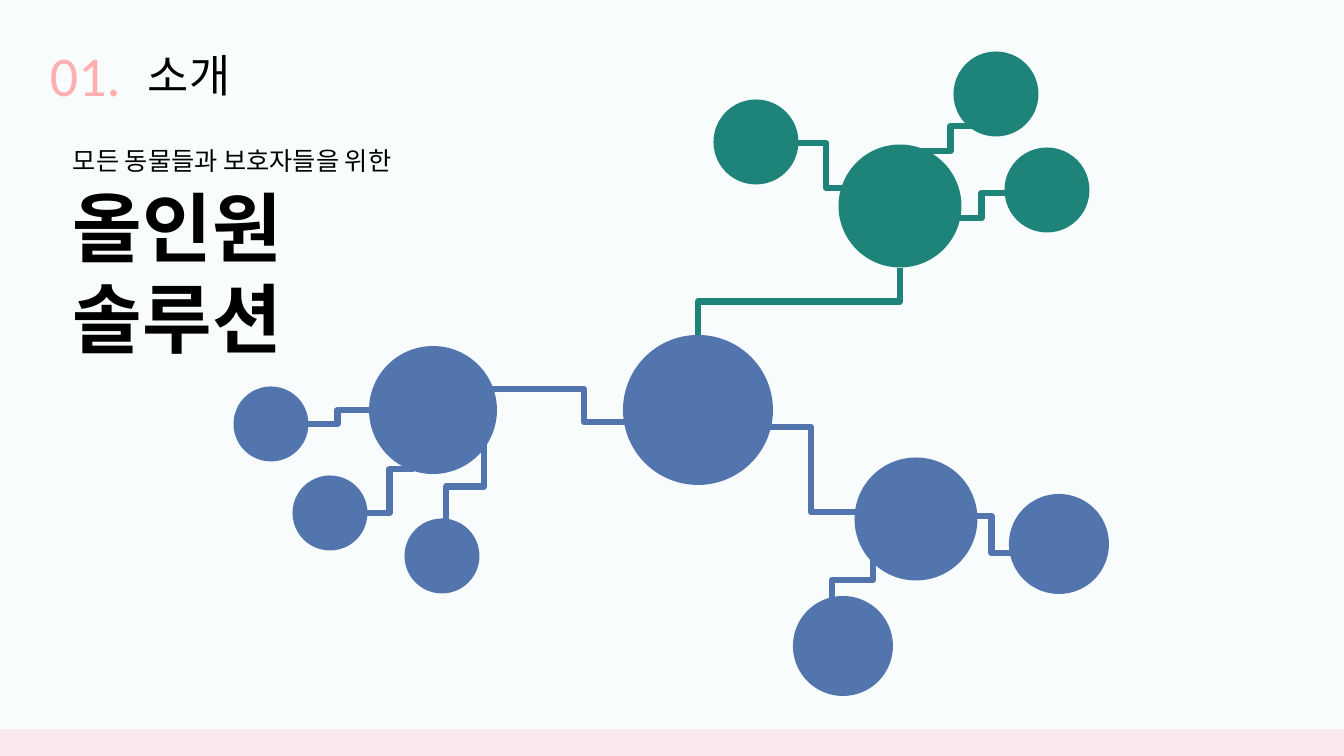
from dataclasses import dataclass

import pptx
import pptx.dml.color
import pptx.enum.shapes
import pptx.enum.text
import pptx.oxml
import pptx.oxml.ns
import pptx.util

EMU_PER_PX = 914400 / 100.8
WIDTH, HEIGHT = 1344, 756


@dataclass(frozen=True)
class Theme:
    background: str = "F8FCFC"
    footer: str = "F8E7EF"
    number: str = "FFAFAF"
    text: str = "000000"
    blue: str = "5275AD"
    green: str = "1E847A"
    label_font: str = "Calibri"
    message_font: str = "Noto Sans CJK KR"
    number_size: int = 40
    title_size: int = 32
    lead_size: int = 18
    headline_size: int = 54
    link_width: float = 4.5


THEME = Theme()

# centre x, centre y, diameter
BLUE_CIRCLES = [
    (698, 410, 150),
    (433, 410, 128), (271, 424, 75), (330, 513, 75), (442, 556, 75),
    (916, 519, 123), (843, 646, 100), (1059, 544, 100),
]
GREEN_CIRCLES = [(900, 206, 123), (756, 142, 85), (996, 94, 85), (1047, 190, 85)]

# start x, start y, end x, end y
BLUE_LINKS = [
    (728, 427, 894, 512), (962, 516, 1021, 553),
    (365, 513, 414, 469), (306, 424, 369, 410),
]
GREEN_LINKS = [(1012, 193, 951, 218), (854, 188, 798, 143), (982, 126, 919, 151)]
BLUE_DROPS = [(873, 553, 832, 607), (484, 444, 446, 529)]
GREEN_DROPS = [(900, 268, 698, 335)]


def px(length):
    return pptx.util.Emu(round(length * EMU_PER_PX))


def rgb(color):
    return pptx.dml.color.RGBColor.from_string(color)


def add_filled_shape(slide, kind, left, top, width, height, color):
    shape = slide.shapes.add_shape(kind, px(left), px(top), px(width), px(height))
    shape.shadow.inherit = False
    shape.fill.solid()
    shape.fill.fore_color.rgb = rgb(color)
    shape.line.fill.background()
    return shape


def add_circle(slide, center_x, center_y, diameter, color):
    radius = diameter / 2
    oval = pptx.enum.shapes.MSO_SHAPE.OVAL
    add_filled_shape(slide, oval, center_x - radius, center_y - radius,
                     diameter, diameter, color)


def add_link(slide, start_x, start_y, end_x, end_y, color, bend=None):
    """Add an elbow that leaves sideways; bend is the turning point as a share."""
    elbow = pptx.enum.shapes.MSO_CONNECTOR.ELBOW
    connector = slide.shapes.add_connector(
        elbow, px(start_x), px(start_y), px(end_x), px(end_y))
    connector.line.color.rgb = rgb(color)
    connector.line.width = pptx.util.Pt(THEME.link_width)
    properties = connector._element.spPr
    properties.append(pptx.oxml.parse_xml(
        f"<a:effectLst {pptx.oxml.ns.nsdecls('a')}/>"))
    if bend is not None:
        adjustments = properties.find(".//" + pptx.oxml.ns.qn("a:avLst"))
        adjustments.append(pptx.oxml.parse_xml(
            f"<a:gd {pptx.oxml.ns.nsdecls('a')} name='adj1' "
            f"fmla='val {round(bend * 100000)}'/>"))
    return connector


def add_drop(slide, right, top, left, bottom, color):
    """Add an elbow that falls from upper right to lower left, as a turned link."""
    center_x, center_y = (left + right) / 2, (top + bottom) / 2
    half_length, half_span = (bottom - top) / 2, (right - left) / 2
    connector = add_link(slide, center_x - half_length, center_y - half_span,
                         center_x + half_length, center_y + half_span, color)
    transform = connector._element.spPr.find(pptx.oxml.ns.qn("a:xfrm"))
    transform.set("rot", str(90 * 60000))


def add_text_box(slide, left, top, width, height, wrap=False):
    box = slide.shapes.add_textbox(px(left), px(top), px(width), px(height))
    box.text_frame.word_wrap = wrap
    box.text_frame.auto_size = pptx.enum.text.MSO_AUTO_SIZE.SHAPE_TO_FIT_TEXT
    return box.text_frame


def write(paragraph, text, size, font_name, color, bold=False):
    paragraph.text = text
    font = paragraph.font
    font.size = pptx.util.Pt(size)
    font.bold = bold
    font.name = font_name
    font.color.rgb = rgb(color)
    font._element.append(pptx.oxml.parse_xml(
        f"<a:ea {pptx.oxml.ns.nsdecls('a')} typeface='{font_name}'/>"))


def add_heading(slide):
    number = add_text_box(slide, 40, 36, 98, 78)
    write(number.paragraphs[0], "01.", THEME.number_size, THEME.label_font, THEME.number)
    title = add_text_box(slide, 138, 43, 111, 65)
    write(title.paragraphs[0], "소개", THEME.title_size, THEME.label_font, THEME.text)


def add_message(slide):
    frame = add_text_box(slide, 63, 138, 457, 132, wrap=True)
    frame.margin_right = px(60)
    lead = frame.paragraphs[0]
    write(lead, "모든 동물들과 보호자들을 위한", THEME.lead_size,
          THEME.message_font, THEME.text)
    lead.line_spacing = pptx.util.Pt(23)
    headline = frame.add_paragraph()
    write(headline, "올인원 솔루션", THEME.headline_size,
          THEME.message_font, THEME.text, bold=True)
    headline.line_spacing = pptx.util.Pt(65)
    headline.space_before = pptx.util.Pt(4)


def add_footer(slide):
    rectangle = pptx.enum.shapes.MSO_SHAPE.RECTANGLE
    bar = add_filled_shape(slide, rectangle, 0, 730, WIDTH, 26, THEME.footer)
    bar.line.color.rgb = rgb(THEME.footer)
    bar.line.width = pptx.util.Pt(1)


def add_network(slide):
    add_link(slide, 475, 389, 645, 422, THEME.blue, bend=0.64)
    for color, links, drops, circles in (
        (THEME.blue, BLUE_LINKS, BLUE_DROPS, BLUE_CIRCLES),
        (THEME.green, GREEN_LINKS, GREEN_DROPS, GREEN_CIRCLES),
    ):
        for link in links:
            add_link(slide, *link, color)
        for drop in drops:
            add_drop(slide, *drop, color)
        for circle in circles:
            add_circle(slide, *circle, color)


def main():
    presentation = pptx.Presentation()
    presentation.slide_width = px(WIDTH)
    presentation.slide_height = px(HEIGHT)
    slide = presentation.slides.add_slide(presentation.slide_layouts[6])
    slide.background.fill.solid()
    slide.background.fill.fore_color.rgb = rgb(THEME.background)
    add_heading(slide)
    add_message(slide)
    add_footer(slide)
    add_network(slide)
    presentation.save("out.pptx")


if __name__ == "__main__":
    main()
